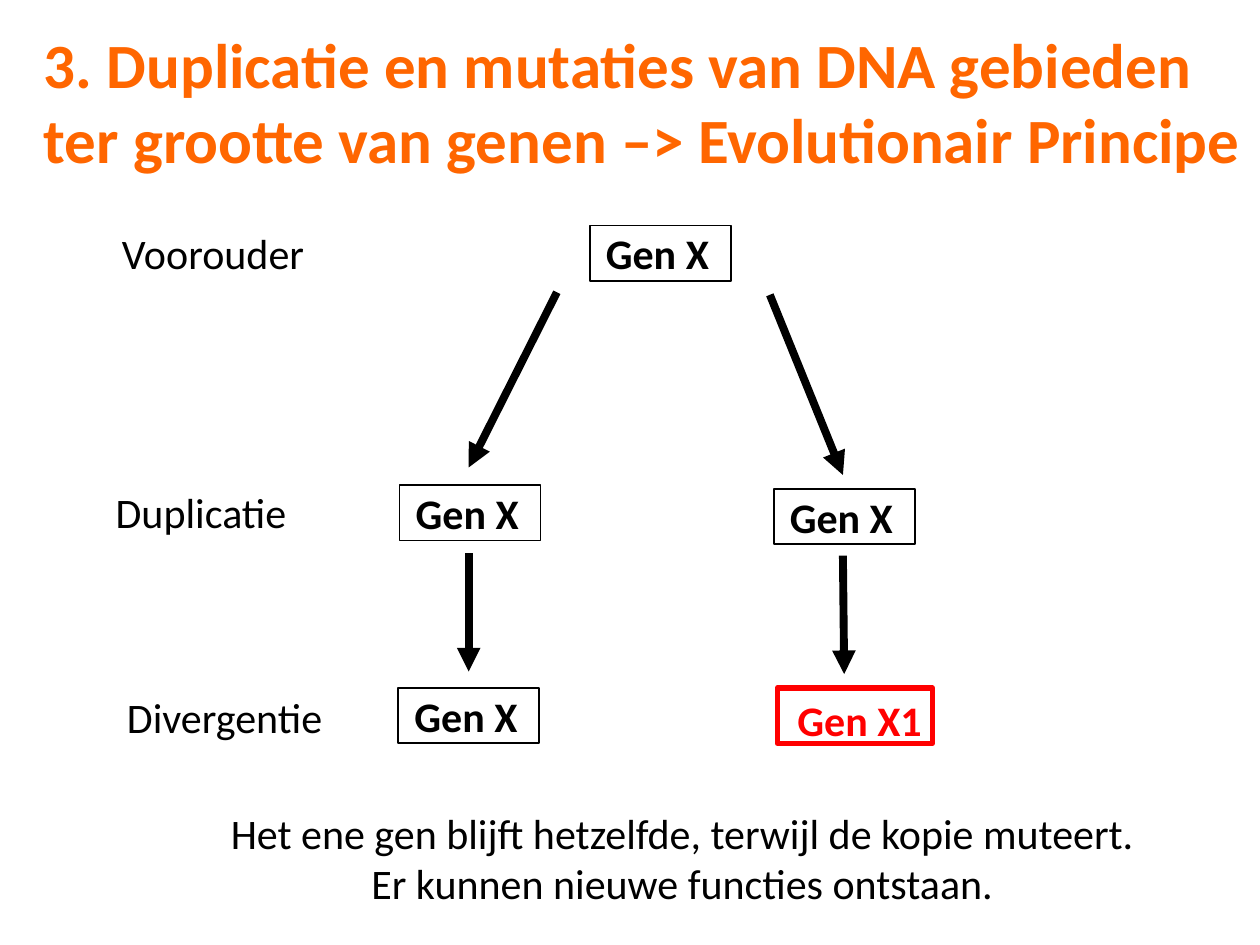
from dataclasses import dataclass

from lxml.etree import SubElement
from pptx import Presentation
from pptx.dml.color import RGBColor
from pptx.enum.shapes import MSO_CONNECTOR as Link, MSO_SHAPE as Shape
from pptx.enum.text import PP_ALIGN as Align
from pptx.oxml.ns import qn
from pptx.util import Inches, Pt


@dataclass(frozen=True)
class Theme:
    font: str = "Calibri"
    black: RGBColor = RGBColor(0, 0, 0)
    red: RGBColor = RGBColor(255, 0, 0)
    orange: RGBColor = RGBColor(255, 102, 0)
    title: int = 36
    body: int = 24
    thin: float = 1
    frame: float = 3
    arrow: float = 4.5


THEME = Theme()


def add_text(slide, text, x, y, w, h=0.5, size=THEME.body,
             color=THEME.black, bold=False, align=Align.LEFT):
    box = slide.shapes.add_textbox(Inches(x), Inches(y), Inches(w), Inches(h))
    frame = box.text_frame
    frame.word_wrap = True
    frame.text = text
    for para in frame.paragraphs:
        para.alignment = align
        font = para.runs[0].font
        font.name, font.size, font.bold = THEME.font, Pt(size), bold
        font.color.rgb = color


def add_gene(slide, text, x, y, w=1.12, drop=-0.03, inset=0.03,
             color=THEME.black, line=THEME.thin):
    """Draw a framed gene name; drop and inset shift the name in its frame."""
    rect = slide.shapes.add_shape(
        Shape.RECTANGLE, Inches(x), Inches(y), Inches(w), Inches(0.44))
    rect.shadow.inherit = False
    rect.fill.background()
    rect.line.color.rgb = color
    rect.line.width = Pt(line)
    add_text(slide, text, x + inset, y + drop, w + 0.19, color=color, bold=True)


def add_arrow(slide, start, end):
    arrow = slide.shapes.add_connector(
        Link.STRAIGHT, *(Inches(v) for v in start + end))
    arrow.line.color.rgb = THEME.black
    arrow.line.width = Pt(THEME.arrow)
    SubElement(arrow.line._get_or_add_ln(), qn("a:tailEnd"), type="triangle")
    SubElement(arrow._element.spPr, qn("a:effectLst"))


def main():
    deck = Presentation()
    deck.slide_width, deck.slide_height = Inches(10), Inches(7.5)
    slide = deck.slides.add_slide(deck.slide_layouts[6])

    add_text(slide, "3. Duplicatie en mutaties van DNA gebieden ter grootte "
             "van genen –> Evolutionair Principe", 0.25, 0.15, 9.75, 1.31,
             size=THEME.title, color=THEME.orange, bold=True)

    for stage, x, y in (("Voorouder", 0.87, 1.76),
                        ("Duplicatie", 0.82, 3.81),
                        ("Divergentie", 0.91, 5.44)):
        add_text(slide, stage, x, y, 2.2)

    for x, y in ((4.68, 1.79), (3.17, 3.85), (6.14, 3.88), (3.16, 5.46)):
        add_gene(slide, "Gen X", x, y)
    add_gene(slide, "Gen X1", 6.17, 5.46, w=1.23, drop=0, inset=0.06,
             color=THEME.red, line=THEME.frame)

    for start, end in (((4.42, 2.32), (3.72, 3.71)),
                       ((6.11, 2.34), (6.69, 3.77)),
                       ((3.72, 4.39), (3.72, 5.33)),
                       ((6.69, 4.41), (6.7, 5.35))):
        add_arrow(slide, start, end)

    add_text(slide, "Het ene gen blijft hetzelfde, terwijl de kopie muteert.\n"
             "Er kunnen nieuwe functies ontstaan.", 0.91, 6.36, 9.01, 0.91,
             align=Align.CENTER)
    deck.save("out.pptx")


if __name__ == "__main__":
    main()
